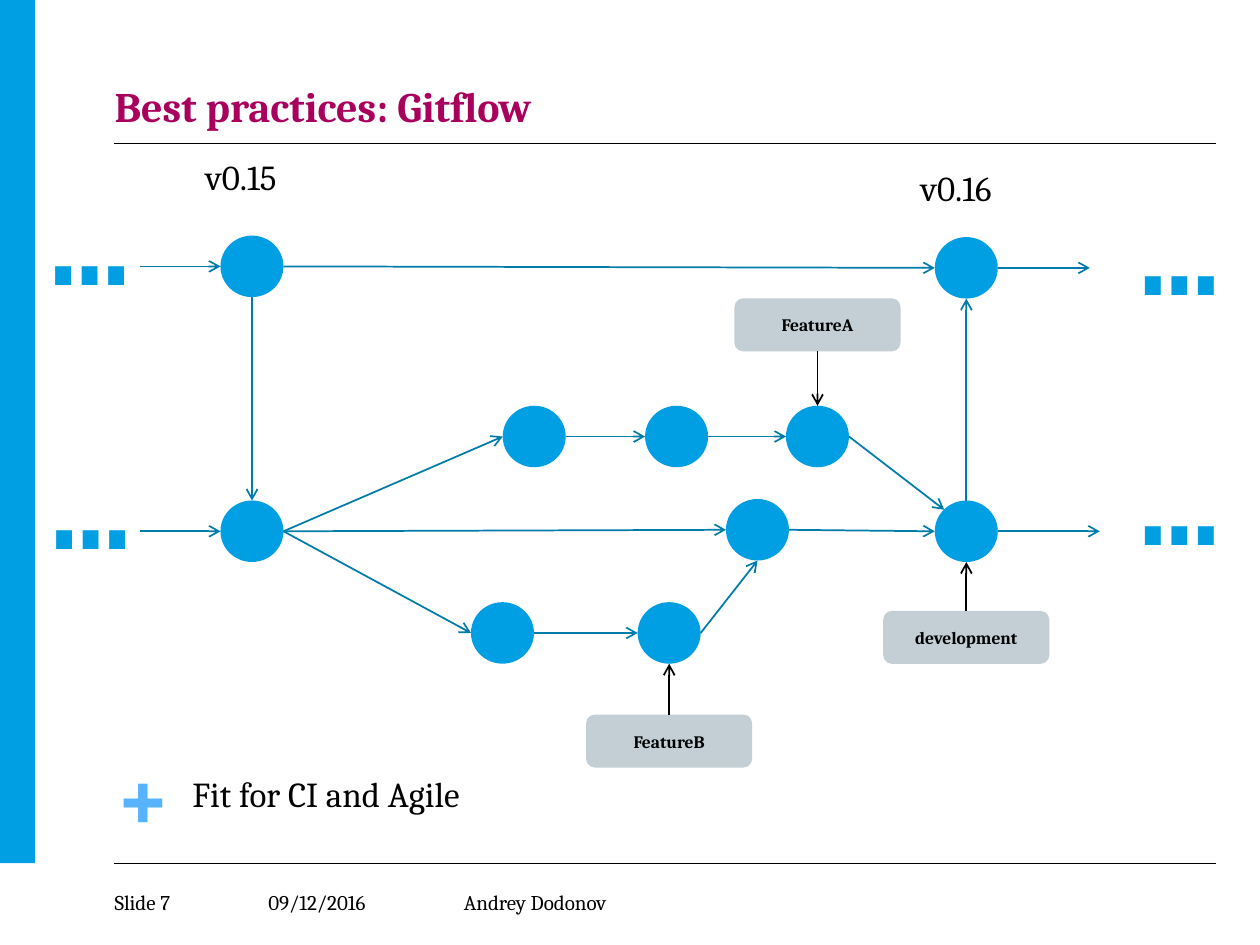
from dataclasses import dataclass

from lxml.etree import SubElement
from pptx import Presentation
from pptx.dml.color import RGBColor
from pptx.enum.shapes import MSO_CONNECTOR as Link, MSO_SHAPE as Shape
from pptx.enum.text import MSO_ANCHOR as Anchor, PP_ALIGN as Align
from pptx.oxml.ns import qn
from pptx.util import Cm, Pt


@dataclass(frozen=True)
class Theme:
    font: str = "Cambria"
    mono: str = "Courier New"
    blue: str = "009EE3"
    arrow: str = "007CAA"
    plus: str = "58B3FF"
    grey: str = "C3CED5"
    title: str = "A8005C"
    black: str = "000000"
    label_size: int = 10
    footer_size: int = 12
    body_size: int = 20
    title_size: int = 24
    plus_size: int = 54
    dots_size: int = 72


# Anchor points as fractions of a shape's width and height
SIDES = {
    "left": (0, 0.5), "right": (1, 0.5), "top": (0.5, 0),
    "bottom": (0.5, 1), "top left": (0.15, 0.15),
}


def side(shape, name):
    across, down = SIDES[name]
    return (int(shape.left + shape.width * across),
            int(shape.top + shape.height * down))


class FlowSlide:
    def __init__(self, page, theme):
        self.page = page
        self.theme = theme

    def style(self, para, size, color, bold=False, font=None):
        para.font.name = font or self.theme.font
        para.font.size = Pt(size)
        para.font.bold = bold
        para.font.color.rgb = RGBColor.from_string(color)

    def text(self, words, left, top, width, height, size, color=None,
             bold=False, font=None, align=Align.LEFT, anchor=Anchor.TOP,
             inset=True):
        box = self.page.shapes.add_textbox(
            Cm(left), Cm(top), Cm(width), Cm(height))
        frame = box.text_frame
        frame.word_wrap = True
        frame.vertical_anchor = anchor
        if not inset:
            frame.margin_left = frame.margin_right = 0
            frame.margin_top = frame.margin_bottom = 0
        para = frame.paragraphs[0]
        para.text = words
        para.alignment = align
        self.style(para, size, color or self.theme.black, bold, font)
        return para

    def dots(self, left, top):
        self.text("…", left, top, 1.93, 3.33, self.theme.dots_size,
                  self.theme.blue, True, self.theme.mono)

    def solid(self, kind, left, top, width, height, color):
        shape = self.page.shapes.add_shape(
            kind, Cm(left), Cm(top), Cm(width), Cm(height))
        shape.shadow.inherit = False
        shape.fill.solid()
        shape.fill.fore_color.rgb = RGBColor.from_string(color)
        shape.line.fill.background()
        return shape

    def commit(self, x, y):
        width, height = 1.27, 1.24
        return self.solid(Shape.OVAL, x - width / 2, y - height / 2,
                          width, height, self.theme.blue)

    def label(self, words, x, y):
        width, height = 3.35, 1.07
        box = self.solid(Shape.ROUNDED_RECTANGLE, x - width / 2,
                         y - height / 2, width, height, self.theme.grey)
        box.text_frame.vertical_anchor = Anchor.MIDDLE
        para = box.text_frame.paragraphs[0]
        para.text = words
        para.alignment = Align.CENTER
        self.style(para, self.theme.label_size, self.theme.black, True)
        return box

    def line(self, start, end, color, weight):
        link = self.page.shapes.add_connector(Link.STRAIGHT, *start, *end)
        link.line.color.rgb = RGBColor.from_string(color)
        link.line.width = Pt(weight)
        SubElement(link._element.spPr, qn("a:effectLst"))
        return link

    def rule(self, y):
        self.line((Cm(2.29), Cm(y)), (Cm(24.51), Cm(y)),
                  self.theme.black, 0.5)

    def arrow(self, start, end, color=None):
        link = self.line(start, end, color or self.theme.arrow, 1)
        SubElement(link.line._get_or_add_ln(), qn("a:tailEnd"), type="arrow")

    def join(self, first, second, leave="right", enter="left", color=None):
        self.arrow(side(first, leave), side(second, enter), color)

    def arrow_in(self, shape, x):
        end = side(shape, "left")
        self.arrow((Cm(x), end[1]), end)

    def arrow_out(self, shape, x):
        start = side(shape, "right")
        self.arrow(start, (Cm(x), start[1]))


def main():
    theme = Theme()
    deck = Presentation()
    deck.slide_width, deck.slide_height = Cm(25.4), Cm(19.05)
    flow = FlowSlide(deck.slides.add_slide(deck.slide_layouts[6]), theme)

    # Side bar, rules and title
    flow.solid(Shape.RECTANGLE, 0, 0, 0.71, 17.4, theme.blue)
    flow.rule(2.9)
    flow.rule(17.4)
    title = flow.text("Best practices: Gitflow", 2.31, 1.73, 22.2, 0.99,
                      theme.title_size, theme.title, True, inset=False)
    title.line_spacing = 0.9

    # Footer
    for words, left, width in (("Slide 7", 2.31, 1.57),
                               ("09/12/2016", 5.41, 2.44),
                               ("Andrey Dodonov", 9.35, 3.2)):
        flow.text(words, left, 17.93, width, 0.51, theme.footer_size,
                  anchor=Anchor.MIDDLE, inset=False)

    # Commits on the release, development and feature branches
    old_release = flow.commit(5.08, 5.37)
    new_release = flow.commit(19.48, 5.4)
    dev_start = flow.commit(5.08, 10.71)
    dev_merge = flow.commit(15.27, 10.68)
    dev_end = flow.commit(19.48, 10.71)
    feature_a = [flow.commit(x, 8.8) for x in (10.77, 13.64, 16.48)]
    feature_b = [flow.commit(x, 12.76) for x in (10.13, 13.49)]

    # Arrows along each branch
    for branch in ([old_release, new_release],
                   [dev_start, dev_merge, dev_end],
                   [dev_start, *feature_a], [dev_start, *feature_b]):
        for first, second in zip(branch, branch[1:]):
            flow.join(first, second)

    # Arrows between branches
    flow.join(old_release, dev_start, "bottom", "top")
    flow.join(dev_end, new_release, "top", "bottom")
    flow.join(feature_a[-1], dev_end, "right", "top left")
    flow.join(feature_b[-1], dev_merge, "right", "bottom")

    # History before and after
    for shape in (old_release, dev_start):
        flow.arrow_in(shape, 2.82)
    flow.arrow_out(new_release, 21.97)
    flow.arrow_out(dev_end, 22.17)
    for left, top in ((0.79, 3.1), (0.81, 8.41), (22.76, 3.3), (22.76, 8.33)):
        flow.dots(left, top)

    # Branch labels with their pointers
    for words, y, target, leave, enter in (
            ("FeatureA", 6.55, feature_a[-1], "bottom", "top"),
            ("FeatureB", 14.94, feature_b[-1], "top", "bottom"),
            ("development", 12.85, dev_end, "top", "bottom")):
        label = flow.label(words, (target.left + target.width / 2) / Cm(1), y)
        flow.join(label, target, leave, enter, theme.black)

    # Version tags
    flow.text("v0.15", 3.89, 3.02, 2.36, 1.17, theme.body_size)
    flow.text("v0.16", 18.31, 3.23, 2.36, 1.17, theme.body_size)

    # Benefit
    flow.text("+", 2.08, 14.71, 1.55, 2.57, theme.plus_size, theme.plus,
              True, align=Align.CENTER)
    flow.text("Fit for CI and Agile", 3.63, 15.44, 6.35, 1.12,
              theme.body_size)

    deck.save("out.pptx")


if __name__ == "__main__":
    main()
